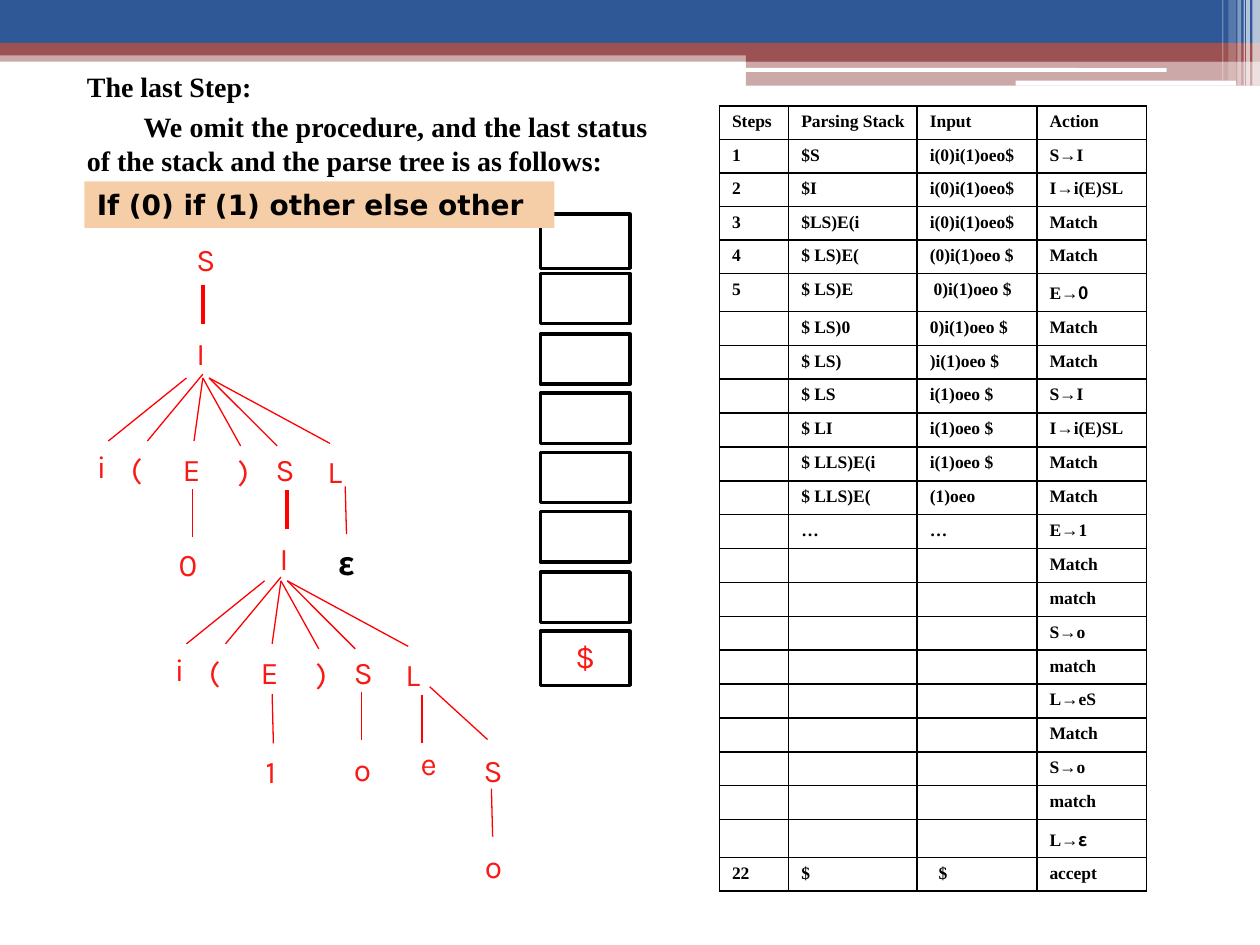
"""Build the slide showing the last step of an LL(1) parse with its tree and stack."""
from typing import NamedTuple

from lxml import etree
from pptx import Presentation
from pptx import util as u
from pptx.dml.color import RGBColor
from pptx.enum import shapes, text
from pptx.oxml import ns

SCALE = 9144
SERIF, TREE, GREEK, SANS = "Times New Roman", "Karla", "Noto Sans CJK SC", "DejaVu Sans"
BLACK, WHITE, RED, LETTER = "000000", "FFFFFF", "FF0000", "F91A15"
BLUE, BRICK, PEACH = "2F5897", "9C5252", "F5CEA7"


class Band(NamedTuple):
    x: int
    y: int
    w: int
    h: int
    color: str
    opacity: int = 100
    rounded: bool = False


class Label(NamedTuple):
    x: int
    y: int
    text: str
    w: int = 24
    font: str = TREE
    color: str = LETTER
    bold: bool = False


class Edge(NamedTuple):
    x1: int
    y1: int
    x2: int
    y2: int
    width: float = 0.75


BANDS = [
    Band(0, 40, 1000, 9, BRICK, 50),
    Band(0, 0, 1000, 34, BLUE),
    Band(0, 34, 1000, 10, BRICK),
    Band(592, 39, 408, 10, BRICK),
    Band(592, 48, 408, 20, BRICK, 50),
    Band(591, 54, 335, 3, WHITE, rounded=True),
    Band(806, 64, 175, 4, WHITE, rounded=True),
    Band(994, 0, 6, 68, WHITE, 65),
    Band(989, 0, 3, 68, WHITE, 65),
    Band(987, 0, 1, 68, WHITE, 60),
    Band(982, 0, 3, 68, WHITE, 40),
    Band(975, 0, 6, 64, WHITE, 20),
    Band(970, 0, 1, 64, WHITE, 30),
]

FAN_LABELS = [
    Label(67, 350, "i"), Label(94, 352, "("), Label(135, 352, "E", 35),
    Label(179, 354, ")"), Label(209, 352, "S"), Label(250, 354, "L"),
]
FAN_EDGES = [
    Edge(148, 300, 86, 350), Edge(161, 297, 117, 350), Edge(161, 300, 154, 350),
    Edge(161, 300, 191, 354), Edge(166, 300, 220, 354), Edge(166, 300, 262, 352),
]
FAN_OFFSETS = [(0, 0), (62, 161)]

LABELS = [
    Label(146, 186, "S", 31), Label(146, 260, "I", 31), Label(212, 423, "I", 31),
    Label(132, 428, "0", 35), Label(201, 592, "1", 35), Label(271, 590, "o", 35),
    Label(324, 586, "e", 35), Label(374, 591, "S", 35), Label(375, 667, "o", 35),
    Label(259, 427, "ε", 76, GREEK, BLACK, True),
]
EDGES = [
    Edge(161, 226, 161, 257, 2.25), Edge(228, 389, 228, 420, 2.25),
    Edge(153, 388, 153, 426), Edge(274, 386, 275, 424), Edge(216, 551, 217, 590),
    Edge(287, 549, 287, 587), Edge(335, 552, 335, 590), Edge(341, 545, 387, 587),
    Edge(390, 626, 391, 664),
]

COLUMNS = [55, 102, 95, 87]
TABLE_HEIGHT = 613
ROWS = [
    ("Steps", "Parsing Stack", "Input", "Action"),
    ("1", "$S", "i(0)i(1)oeo$", "S→I"),
    ("2", "$I", "i(0)i(1)oeo$", "I→i(E)SL"),
    ("3", "$LS)E(i", "i(0)i(1)oeo$", "Match"),
    ("4", "$ LS)E(", "(0)i(1)oeo $", "Match"),
    ("5", "$ LS)E", " 0)i(1)oeo $", "E→|0"),
    ("", "$ LS)0", "0)i(1)oeo $", "Match"),
    ("", "$ LS)", ")i(1)oeo $", "Match"),
    ("", "$ LS", "i(1)oeo $", "S→I"),
    ("", "$ LI", "i(1)oeo $", "I→i(E)SL"),
    ("", "$ LLS)E(i", "i(1)oeo $", "Match"),
    ("", "$ LLS)E(", "(1)oeo", "Match"),
    ("", "…", "…", "E→1"),
    *[("", "", "", action) for action in
      ("Match", "match", "S→o", "match", "L→eS", "Match", "S→o", "match", "L→|ε")],
    ("22", "$", "  $", "accept"),
]


def px(n: int) -> u.Emu:
    return u.Emu(n * SCALE)


def rgb(color: str) -> RGBColor:
    return RGBColor.from_string(color)


def add_run(p, content: str, font: str, size: int, color: str, bold: bool = False) -> None:
    r = p.add_run()
    r.text = content
    r.font.name, r.font.size, r.font.bold = font, u.Pt(size), bold
    r.font.color.rgb = rgb(color)


def add_band(s, band: Band):
    kind = shapes.MSO_SHAPE.ROUNDED_RECTANGLE if band.rounded else shapes.MSO_SHAPE.RECTANGLE
    sp = s.shapes.add_shape(kind, *map(px, band[:4]))
    sp.shadow.inherit = False
    sp.line.fill.background()
    sp.fill.solid()
    sp.fill.fore_color.rgb = rgb(band.color)
    if band.opacity < 100:
        clr = sp.fill._xPr.find(".//" + ns.qn("a:srgbClr"))
        etree.SubElement(clr, ns.qn("a:alpha"), val=str(band.opacity * 1000))
    return sp


def add_label(s, label: Label, dx: int = 0, dy: int = 0) -> None:
    sp = s.shapes.add_textbox(px(label.x + dx), px(label.y + dy), px(label.w), px(40))
    sp.text_frame.word_wrap = True
    add_run(sp.text_frame.paragraphs[0], label.text, label.font, 18, label.color, label.bold)


def add_edge(s, edge: Edge, dx: int = 0, dy: int = 0) -> None:
    ends = px(edge.x1 + dx), px(edge.y1 + dy), px(edge.x2 + dx), px(edge.y2 + dy)
    sp = s.shapes.add_connector(shapes.MSO_CONNECTOR.STRAIGHT, *ends)
    sp.line.color.rgb = rgb(RED)
    sp.line.width = u.Pt(edge.width)
    etree.SubElement(sp._element.spPr, ns.qn("a:effectLst"))


def add_stack(s, count: int = 8) -> None:
    for i in range(count):
        last = i == count - 1
        height = 43 if i == 0 or last else 40
        sp = s.shapes.add_shape(shapes.MSO_SHAPE.RECTANGLE, px(429),
                                px(170 + round(i * 331 / (count - 1))), px(71), px(height))
        sp.shadow.inherit = False
        sp.fill.background()
        sp.line.color.rgb = rgb(BLACK)
        sp.line.width = u.Pt(2)
        if last:
            sp.text_frame.vertical_anchor = text.MSO_ANCHOR.TOP
            p = sp.text_frame.paragraphs[0]
            p.alignment = text.PP_ALIGN.CENTER
            add_run(p, "$", TREE, 18, LETTER)


def fill_cell(cell, content: str) -> None:
    tc_pr = cell._tc.get_or_add_tcPr()
    for side in ("lnL", "lnR", "lnT", "lnB"):
        ln = etree.SubElement(tc_pr, ns.qn(f"a:{side}"), w=str(u.Pt(1)))
        fill = etree.SubElement(ln, ns.qn("a:solidFill"))
        etree.SubElement(fill, ns.qn("a:srgbClr"), val=BLACK)
    cell.fill.background()
    shown = content.lstrip()
    cell.margin_left = px(10 + (len(content) - len(shown)) * 7 // 2)
    p = cell.text_frame.paragraphs[0]
    if not shown:
        etree.SubElement(p._p, ns.qn("a:endParaRPr"), sz="1000")
        return
    for part, font in zip(shown.split("|"), (SERIF, GREEK)):
        add_run(p, part, font, 10, BLACK, True)


def add_steps(s) -> None:
    frame = s.shapes.add_table(len(ROWS), len(COLUMNS), px(571), px(84),
                               px(sum(COLUMNS)), px(TABLE_HEIGHT))
    table = frame.table
    table.first_row = table.horz_banding = False
    for column, width in zip(table.columns, COLUMNS):
        column.width = px(width)
    for i, row in enumerate(ROWS):
        table.rows[i].height = px(TABLE_HEIGHT) // len(ROWS)
        for j, content in enumerate(row):
            fill_cell(table.cell(i, j), content)


def add_heading(s) -> None:
    sp = s.shapes.title
    sp.left, sp.top, sp.width, sp.height = map(px, (59, 50, 465, 96))
    tf = sp.text_frame
    tf.word_wrap, tf.auto_size = True, text.MSO_AUTO_SIZE.NONE
    tf.vertical_anchor = text.MSO_ANCHOR.TOP
    first, second = tf.paragraphs[0], tf.add_paragraph()
    add_run(first, "The last Step:", SERIF, 16, BLACK, True)
    add_run(second, "We omit the procedure, and the last status of the stack "
            "and the parse tree is as follows:", SERIF, 16, BLACK, True)
    first.alignment = second.alignment = text.PP_ALIGN.JUSTIFY
    second.space_before = u.Pt(4)
    second._p.get_or_add_pPr().set("indent", str(px(45)))


def add_statement(s) -> None:
    tf = add_band(s, Band(67, 144, 373, 37, PEACH)).text_frame
    tf.word_wrap = False
    p = tf.paragraphs[0]
    p.alignment = text.PP_ALIGN.LEFT
    add_run(p, "If (0) if (1) other else other", SANS, 16, BLACK, True)


def main() -> None:
    prs = Presentation()
    prs.slide_width, prs.slide_height = px(1000), px(750)
    s = prs.slides.add_slide(prs.slide_layouts[5])
    for band in BANDS:
        add_band(s, band)
    add_steps(s)
    add_heading(s)
    add_stack(s)
    for dx, dy in FAN_OFFSETS:
        for edge in FAN_EDGES:
            add_edge(s, edge, dx, dy)
        for label in FAN_LABELS:
            add_label(s, label, dx, dy)
    for edge in EDGES:
        add_edge(s, edge)
    for label in LABELS:
        add_label(s, label)
    add_statement(s)
    prs.save("out.pptx")


if __name__ == "__main__":
    main()
